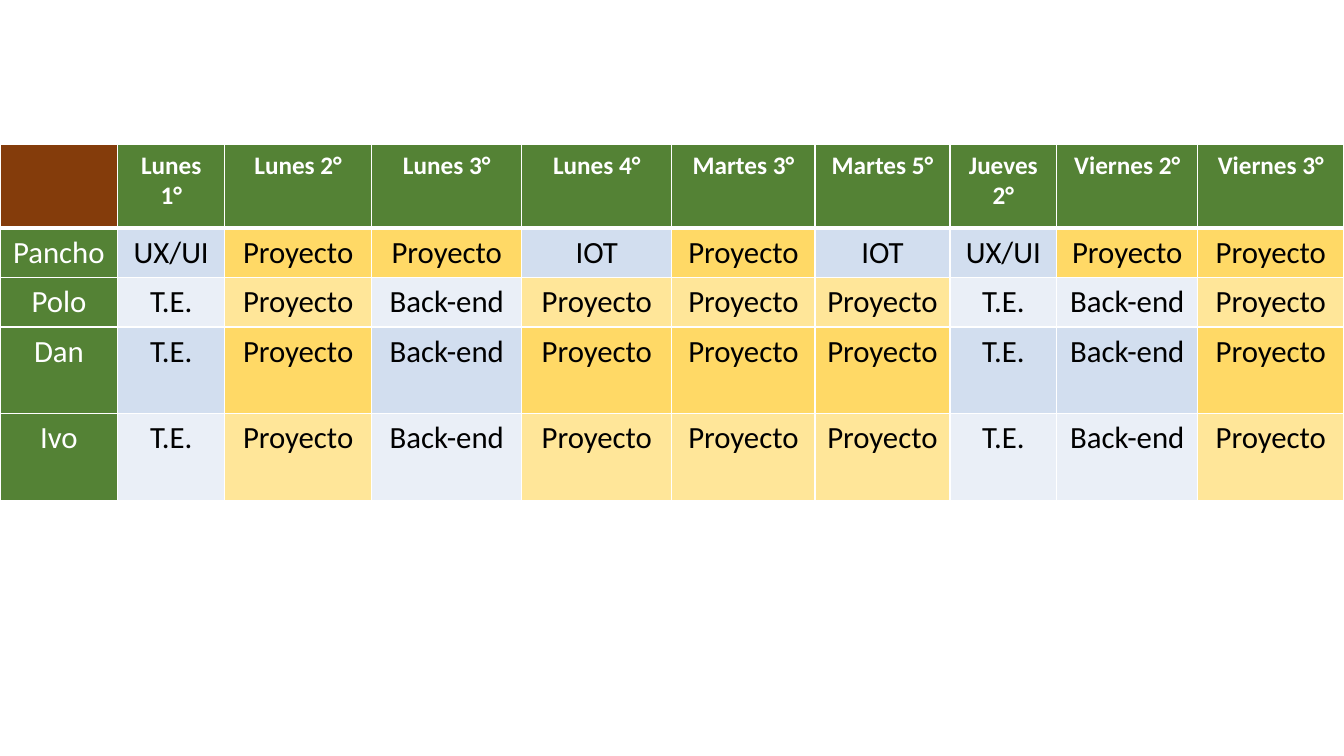
from dataclasses import dataclass

from lxml.etree import SubElement
from pptx import Presentation
from pptx.dml.color import RGBColor
from pptx.enum.text import PP_ALIGN
from pptx.oxml.ns import qn
from pptx.util import Inches, Pt


@dataclass(frozen=True)
class Theme:
    """Colours, font and type sizes of the timetable."""
    font: str = "Calibri"
    header_size: int = 18
    body_size: int = 22
    light: str = "FFFFFF"
    dark: str = "000000"
    corner: str = "843C0B"
    heading: str = "548235"
    project: tuple = ("FFD966", "FFE699")
    subject: tuple = ("D2DEEF", "EAEFF7")
    thin: int = 1
    thick: int = 3


THEME = Theme()
PROJECT = "Proyecto"
DAYS = ["Lunes 1°", "Lunes 2°", "Lunes 3°", "Lunes 4°", "Martes 3°",
        "Martes 5°", "Jueves 2°", "Viernes 2°", "Viernes 3°"]
TEAM_WEEK = ["T.E.", PROJECT, "Back-end", PROJECT, PROJECT,
             PROJECT, "T.E.", "Back-end", PROJECT]
SCHEDULE = {
    "Pancho": ["UX/UI", PROJECT, PROJECT, "IOT", PROJECT,
               "IOT", "UX/UI", PROJECT, PROJECT],
    "Polo": TEAM_WEEK,
    "Dan": TEAM_WEEK,
    "Ivo": TEAM_WEEK,
}
COLUMN_WIDTHS = [1.17, 1.06, 1.46, 1.49, 1.49, 1.42, 1.34, 1.06, 1.4, 1.45]
ROW_HEIGHTS = [0.83, 0.49, 0.49, 0.86, 0.86]


def write_text(cell, text, size, color, bold=False):
    """Write centred text in a cell."""
    cell.margin_left = cell.margin_right = Inches(0.12)
    cell.margin_top = cell.margin_bottom = Inches(0.06)
    para = cell.text_frame.paragraphs[0]
    para.alignment = PP_ALIGN.CENTER
    if not text:
        return
    span = para.add_run()
    span.text = text
    span.font.name = THEME.font
    span.font.size = Pt(size)
    span.font.bold = bold
    span.font.color.rgb = RGBColor.from_string(color)


def draw_borders(cell, top, bottom):
    """Draw light borders with the given top and bottom widths."""
    properties = cell._tc.get_or_add_tcPr()
    widths = {"L": THEME.thin, "R": THEME.thin, "T": top, "B": bottom}
    for side, width in widths.items():
        line = SubElement(properties, qn(f"a:ln{side}"), w=str(Pt(width)))
        fill = SubElement(line, qn("a:solidFill"))
        SubElement(fill, qn("a:srgbClr"), val=THEME.light)


def cell_fill(row, column, text):
    """Choose the fill of a cell by its place and subject."""
    if row == 0 and column == 0:
        return THEME.corner
    if row == 0 or column == 0:
        return THEME.heading
    bands = THEME.project if text == PROJECT else THEME.subject
    return bands[(row - 1) % 2]


def format_cell(cell, row, column, text):
    """Write and colour one cell of the timetable."""
    header = row == 0
    write_text(cell, text,
               size=THEME.header_size if header else THEME.body_size,
               color=THEME.light if header or column == 0 else THEME.dark,
               bold=header)
    draw_borders(cell,
                 top=THEME.thick if row == 1 else THEME.thin,
                 bottom=THEME.thick if header else THEME.thin)
    cell.fill.solid()
    cell.fill.fore_color.rgb = RGBColor.from_string(cell_fill(row, column, text))


def add_timetable(page, left, top, width, height):
    """Place the weekly timetable in the given box."""
    rows = [["", *DAYS], *([name, *week] for name, week in SCHEDULE.items())]
    table = page.shapes.add_table(
        len(rows), len(rows[0]), Inches(left), Inches(top),
        Inches(width), Inches(height)).table
    for column, share in zip(table.columns, COLUMN_WIDTHS):
        column.width = Inches(width * share / sum(COLUMN_WIDTHS))
    for row, share in zip(table.rows, ROW_HEIGHTS):
        row.height = Inches(height * share / sum(ROW_HEIGHTS))
    for row, texts in enumerate(rows):
        for column, text in enumerate(texts):
            format_cell(table.cell(row, column), row, column, text)


def build_deck():
    """Build and save the one-slide deck."""
    deck = Presentation()
    deck.slide_width, deck.slide_height = Inches(13.33), Inches(7.5)
    page = deck.slides.add_slide(deck.slide_layouts[6])
    add_timetable(page, left=0, top=1.43, width=13.33, height=3.53)
    deck.save("out.pptx")


build_deck()
